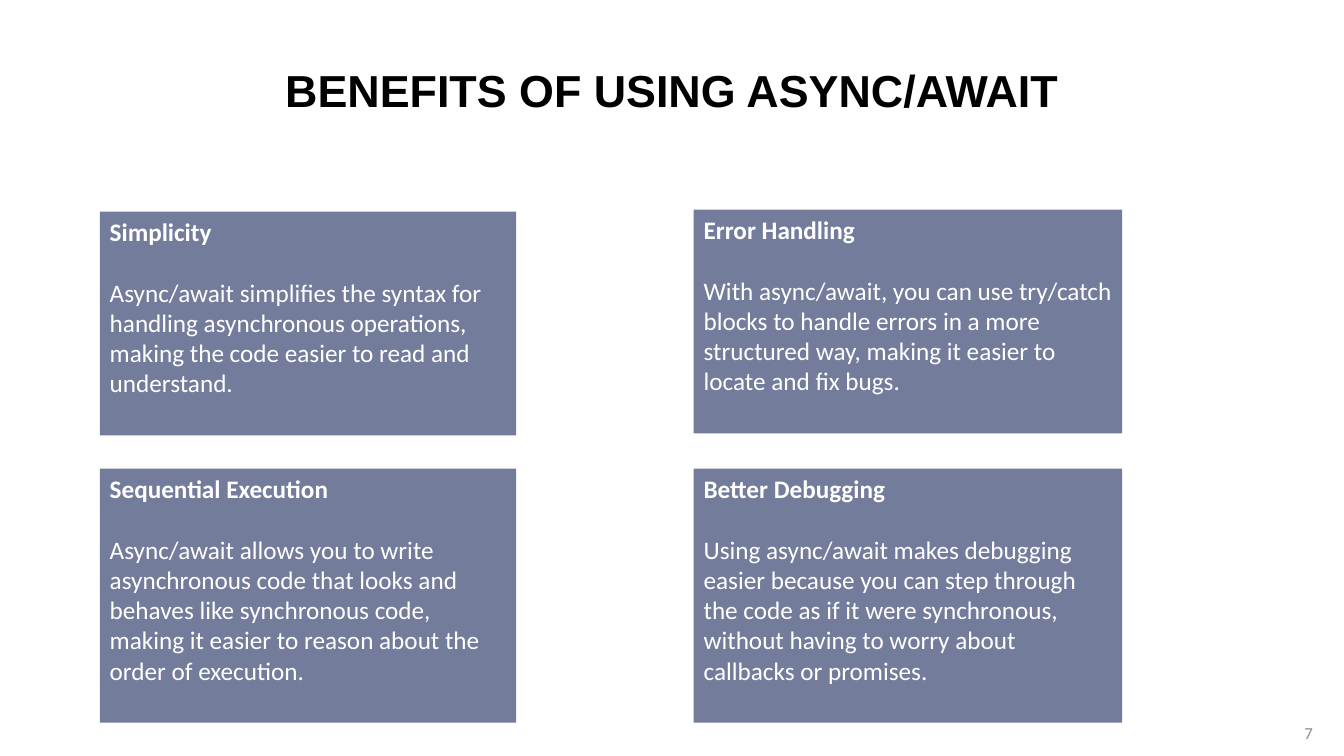
from pptx import Presentation
from pptx.dml.color import RGBColor as RGB
from pptx.enum.shapes import MSO_SHAPE as SHAPE
from pptx.enum.text import MSO_ANCHOR as ANCHOR, PP_ALIGN as ALIGN
from pptx.util import Inches, Pt

COLORS = {"title": "000000", "card": "747C9C", "text": "FFFFFF", "number": "8C8C8C"}


def style(par, size, color, face="Calibri", bold=False, align=ALIGN.LEFT):
    par.alignment = align
    font = par.font
    font.name, font.size, font.bold = face, Pt(size), bold
    font.color.rgb = RGB.from_string(COLORS[color])


deck = Presentation()
deck.slide_width, deck.slide_height = Inches(13.33), Inches(7.5)
slide = deck.slides.add_slide(deck.slide_layouts[5])

# Title
title = slide.shapes.title
title.left, title.top = Inches(0.65), Inches(0)
title.width, title.height = Inches(12.03), Inches(1.78)
title.text_frame.text = "BENEFITS OF USING ASYNC/AWAIT"
title.text_frame.vertical_anchor = ANCHOR.MIDDLE
style(title.text_frame.paragraphs[0], 32, "title", "Arial", True, ALIGN.CENTER)

# Benefit cards: column (left, width), top, height, heading, body
left, right = (0.99, 4.13), (6.88, 4.25)
cards = [
    (left, 2.1, 2.22, "Simplicity",
     "Async/await simplifies the syntax for handling asynchronous operations, "
     "making the code easier to read and understand."),
    (right, 2.08, 2.22, "Error Handling",
     "With async/await, you can use try/catch blocks to handle errors in a more "
     "structured way, making it easier to locate and fix bugs."),
    (left, 4.65, 2.52, "Sequential Execution",
     "Async/await allows you to write asynchronous code that looks and behaves like "
     "synchronous code, making it easier to reason about the order of execution."),
    (right, 4.65, 2.52, "Better Debugging",
     "Using async/await makes debugging easier because you can step through the code "
     "as if it were synchronous, without having to worry about callbacks or promises."),
]
for (x, width), y, height, head, body in cards:
    card = slide.shapes.add_shape(
        SHAPE.RECTANGLE, Inches(x), Inches(y), Inches(width), Inches(height))
    card.shadow.inherit = False
    card.fill.solid()
    card.fill.fore_color.rgb = RGB.from_string(COLORS["card"])
    card.line.fill.background()
    frame = card.text_frame
    frame.word_wrap = True
    frame.vertical_anchor = ANCHOR.TOP
    frame.text = head
    style(frame.paragraphs[0], 18, "text", bold=True)
    par = frame.add_paragraph()
    par.text = body
    par.space_before = Pt(21.5)
    style(par, 18, "text")

# Slide number
number = slide.shapes.add_textbox(
    Inches(12.63), Inches(7.07), Inches(0.49), Inches(0.4))
number.text_frame.word_wrap = True
number.text_frame.vertical_anchor = ANCHOR.MIDDLE
number.text_frame.text = "7"
style(number.text_frame.paragraphs[0], 12, "number", align=ALIGN.RIGHT)

deck.save("out.pptx")
